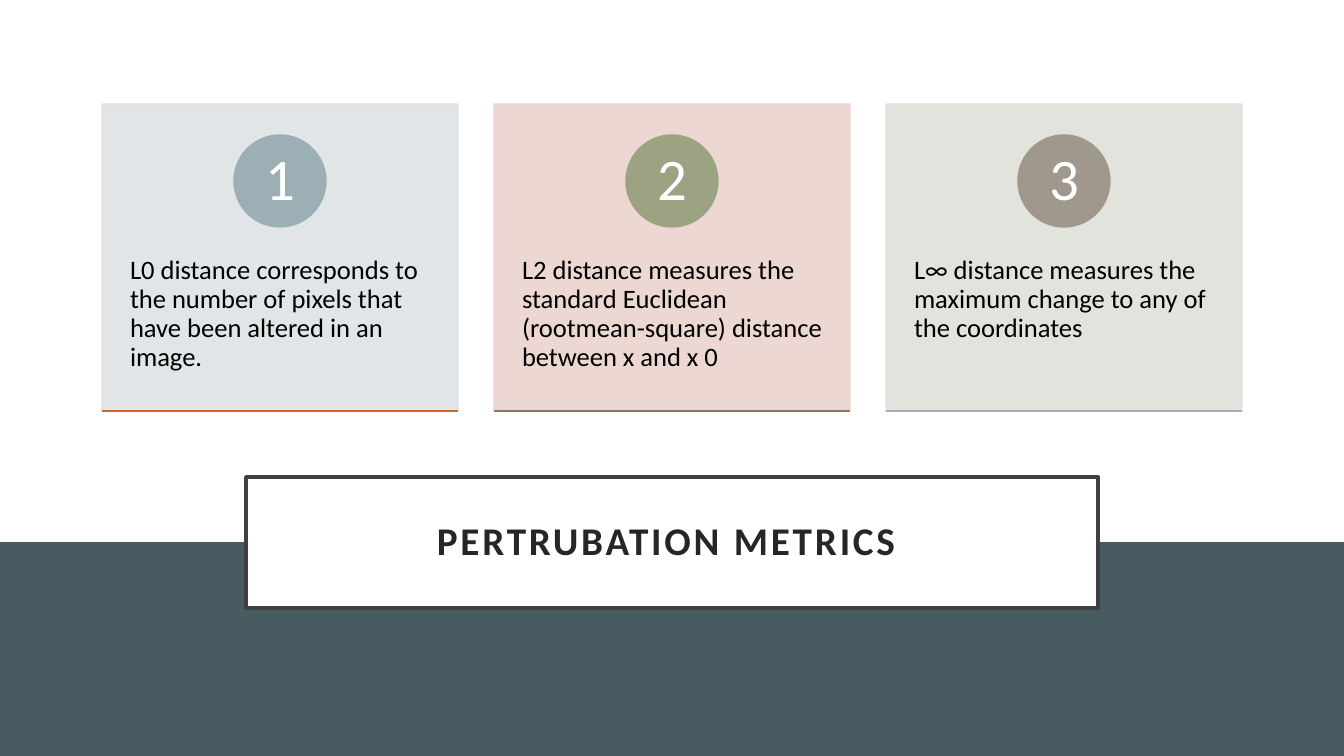
from lxml import etree
from pptx import Presentation
from pptx.dml.color import RGBColor
from pptx.enum.shapes import MSO_CONNECTOR, MSO_SHAPE
from pptx.enum.text import MSO_ANCHOR, PP_ALIGN
from pptx.oxml.ns import qn
from pptx.util import Emu, Pt

RECT, OVAL = MSO_SHAPE.RECTANGLE, MSO_SHAPE.OVAL
LINE = MSO_CONNECTOR.STRAIGHT
TOP, MIDDLE = MSO_ANCHOR.TOP, MSO_ANCHOR.MIDDLE
LEFT, CENTER = PP_ALIGN.LEFT, PP_ALIGN.CENTER
SCALE = 914400 / 100.8
WIDE, HIGH = 1344, 756
FONT = "Calibri"
CARDS = [
    ("1", "L0 distance corresponds to the number of pixels that have been "
     "altered in an image.", "DEE3E5", "9BAFB5", "C96731"),
    ("2", "L2 distance measures the standard Euclidean (rootmean-square) "
     "distance between x and x 0", "EBD3CE", "9CA383", "87795D"),
    ("3", "L∞ distance measures the maximum change to any of the coordinates",
     "DEE0D9", "A0988C", "9BAFB5"),
]


def px(n):
    """Turn pixels into EMU."""
    return Emu(round(n * SCALE))


def color(code):
    """Turn a hex string into a colour."""
    return RGBColor.from_string(code)


def fade(shape, share):
    """Set the opacity of a shape's fill and line in percent."""
    for tone in shape._element.spPr.iter(qn("a:srgbClr")):
        etree.SubElement(tone, qn("a:alpha"), val=str(share * 1000))


def block(slide, kind, box, fill, line=None, width=1):
    """Draw a filled preset shape."""
    shape = slide.shapes.add_shape(kind, *map(px, box))
    shape.shadow.inherit = False
    shape.fill.solid()
    shape.fill.fore_color.rgb = color(fill)
    if line:
        shape.line.color.rgb = color(line)
        shape.line.width = Pt(width)
    else:
        shape.line.fill.background()
    return shape


def write(shape, text, size, tone, inset, align=CENTER, anchor=MIDDLE):
    """Put one styled paragraph into a shape and return it."""
    frame = shape.text_frame
    frame.word_wrap = True
    frame.vertical_anchor = anchor
    frame.margin_left = frame.margin_right = px(inset[0])
    frame.margin_top = frame.margin_bottom = px(inset[1])
    para = frame.paragraphs[0]
    para.text = text
    para.alignment = align
    para.line_spacing = 0.9
    para.font.name = FONT
    para.font.size = Pt(size)
    para.font.color.rgb = color(tone)
    return para


def rule(slide, x, y, width, tone):
    """Draw a thin level line."""
    line = slide.shapes.add_connector(LINE, px(x), px(y), px(x + width), px(y))
    line.line.color.rgb = color(tone)
    line.line.width = Pt(1)
    etree.SubElement(line._element.spPr, qn("a:effectLst"))


def card(slide, box, item):
    """Draw a numbered card with its text and base line."""
    x, y, width, height = box
    mark, text, fill, badge, base = item
    fade(block(slide, RECT, box, fill, fill), 90)
    body = slide.shapes.add_textbox(px(x), px(y + 117), px(width), px(184))
    write(body, text, 19, "000000", (28, 36), LEFT, TOP)
    size = 92
    spot = (x + (width - size) / 2, y + 31, size, size)
    disc = block(slide, OVAL, spot, badge, badge)
    write(disc, mark, 42, "FFFFFF", (0, 0))
    rule(slide, x, y + height, width, base)


def title(slide, box):
    """Draw the framed title."""
    frame = block(slide, RECT, box, "FFFFFF", "404040", 2.5)
    para = write(frame, "PERTRUBATION METRICS ", 28, "262626", (20, 20))
    para.font.bold = True
    para.runs[0].font._element.set("spc", "200")


def main():
    """Build and save the slide."""
    deck = Presentation()
    deck.slide_width, deck.slide_height = px(WIDE), px(HIGH)
    slide = deck.slides.add_slide(deck.slide_layouts[6])
    split = 542
    block(slide, RECT, (0, split, WIDE, HIGH - split), "475B61")
    block(slide, RECT, (0, 0, WIDE, split), "FFFFFF")
    title(slide, (246, 477, 852, 131))
    for i, item in enumerate(CARDS):
        card(slide, (102, 104, 356, 307), item) if i == 0 else card(
            slide, (102 + 392 * i, 104, 356, 307), item)
    deck.save("out.pptx")


if __name__ == "__main__":
    main()
